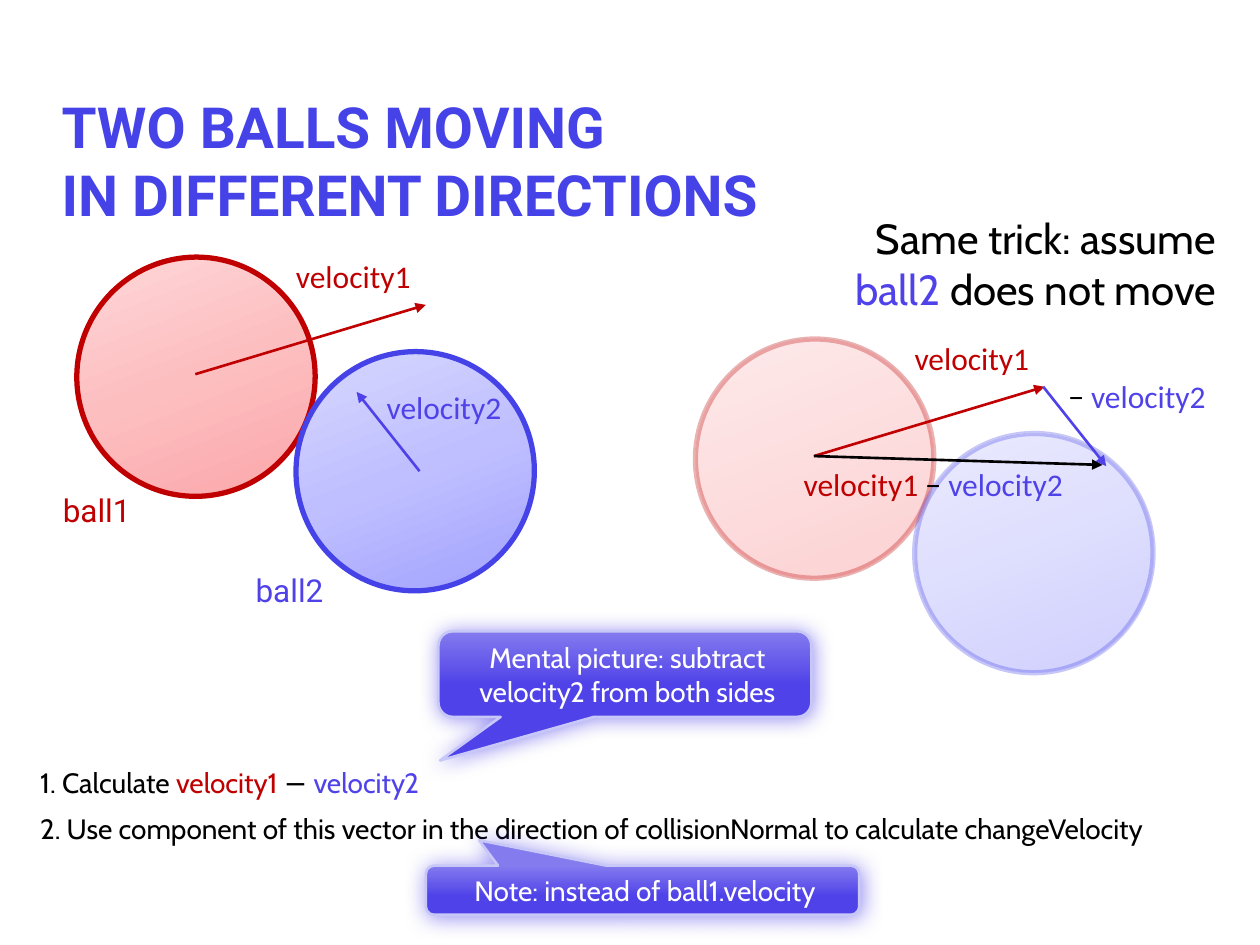
from dataclasses import dataclass

from lxml import etree
from pptx import Presentation
from pptx.dml.color import RGBColor
from pptx.enum import shapes, text
from pptx.oxml import ns, parse_xml
from pptx.util import Inches, Pt


@dataclass(frozen=True)
class Theme:
    red: str = "C00000"
    blue: str = "4F42E8"
    deep_blue: str = "4543E8"
    black: str = "000000"
    white: str = "FFFFFF"
    note_top: str = "847BEF"
    note_edge: str = "C7C7F8"
    red_tints: tuple = ("FB9EA1", "FDBEC0", "FEDFE0")
    blue_tints: tuple = ("9797FF", "BFBFFF", "DFDFFF")
    heading: str = "Roboto"
    body: str = "Cabin"
    label: str = "Calibri"
    title_size: float = 32.4
    lead_size: int = 24
    label_size: int = 18
    body_size: int = 16


THEME = Theme()
BALL_WIDTH, BALL_HEIGHT = 1.89, 1.9
BALL_TILT = 23.5


def rgb(color):
    return RGBColor.from_string(color)


def color_xml(color, opacity=100):
    return f'<a:srgbClr val="{color}"><a:alpha val="{opacity * 1000}"/></a:srgbClr>'


def set_gradient(shape, stops, angle, opacity=100):
    shape.fill.solid()
    stop_xml = "".join(
        f'<a:gs pos="{position * 1000}">{color_xml(color, opacity)}</a:gs>'
        for position, color in stops
    )
    gradient = parse_xml(
        f'<a:gradFill {ns.nsdecls("a")} rotWithShape="1"><a:gsLst>{stop_xml}</a:gsLst>'
        f'<a:lin ang="{angle * 60000}" scaled="0"/></a:gradFill>'
    )
    properties = shape._element.spPr
    properties.replace(properties.find(ns.qn("a:solidFill")), gradient)


def set_outline(shape, color, width):
    shape.line.color.rgb = rgb(color)
    shape.line.width = Pt(width)


def write_line(paragraph, runs, font, size, align=None, bold=None):
    for wording, color in runs:
        run = paragraph.add_run()
        run.text = wording
        if len(runs) > 1:
            run.font.color.rgb = rgb(color)
    paragraph.alignment = align
    paragraph.font.name = font
    paragraph.font.size = Pt(size)
    paragraph.font.bold = bold
    paragraph.font.color.rgb = rgb(runs[0][1])


def add_text(slide, place, lines, font, size, wrap=True, align=None, spacing=None):
    frame = slide.shapes.add_textbox(*map(Inches, place)).text_frame
    frame.word_wrap = wrap
    for index, runs in enumerate(lines):
        paragraph = frame.add_paragraph() if index else frame.paragraphs[0]
        write_line(paragraph, runs, font, size, align)
        paragraph.line_spacing = spacing
    return frame


def add_title(slide):
    frame = slide.shapes.add_textbox(*map(Inches, (0.39, 0.64, 9, 1.25))).text_frame
    frame.word_wrap = True
    frame.vertical_anchor = text.MSO_ANCHOR.MIDDLE
    heading = frame.paragraphs[0]
    heading.text = "TWO BALLS MOVING\vIN DIFFERENT DIRECTIONS"
    heading.font.name = THEME.heading
    heading.font.size = Pt(THEME.title_size)
    heading.font.bold = True
    heading.font.color.rgb = rgb(THEME.deep_blue)


def add_label(slide, left, top, width, runs, font=THEME.label):
    add_text(slide, (left, top, width, 0.4), [runs], font, THEME.label_size, wrap=False)


def add_step(slide, top, height, runs):
    add_text(slide, (0.22, top, 9.48, height), [runs], THEME.body, THEME.body_size, spacing=1.5)


def add_ball(slide, left, top, tints, edge, faded=False):
    ball = slide.shapes.add_shape(
        shapes.MSO_SHAPE.OVAL, *map(Inches, (left, top, BALL_WIDTH, BALL_HEIGHT))
    )
    ball.shadow.inherit = False
    ball.rotation = BALL_TILT
    set_gradient(ball, zip((0, 50, 100), tints), 225, 50 if faded else 100)
    set_outline(ball, edge, 3)
    if faded:
        edge_color = ball.line._ln.find(".//" + ns.qn("a:srgbClr"))
        etree.SubElement(edge_color, ns.qn("a:alpha"), val="30000")


def add_arrow(slide, start, end, color):
    arrow = slide.shapes.add_connector(
        shapes.MSO_CONNECTOR.STRAIGHT, *map(Inches, (*start, *end))
    )
    set_outline(arrow, color, 1.5)
    etree.SubElement(arrow.line._ln, ns.qn("a:tailEnd"), type="triangle")
    etree.SubElement(arrow._element.spPr, ns.qn("a:effectLst"))


def add_callout(slide, place, tip, wording):
    callout = slide.shapes.add_shape(
        shapes.MSO_SHAPE.ROUNDED_RECTANGULAR_CALLOUT, *map(Inches, place)
    )
    for index, value in enumerate((*tip, 0.167)):
        callout.adjustments[index] = value
    set_gradient(callout, [(0, THEME.note_top), (63, THEME.blue)], 90)
    set_outline(callout, THEME.note_edge, 1.5)
    callout._element.spPr.append(parse_xml(
        f'<a:effectLst {ns.nsdecls("a")}><a:outerShdw blurRad="{Pt(12)}" dist="{Pt(1)}" '
        f'dir="{45 * 60000}" rotWithShape="0">{color_xml(THEME.blue, 60)}'
        '</a:outerShdw></a:effectLst>'
    ))
    frame = callout.text_frame
    frame.word_wrap = True
    frame.vertical_anchor = text.MSO_ANCHOR.TOP
    frame.margin_left, frame.margin_right = Inches(0.16), Inches(0.12)
    frame.margin_top = frame.margin_bottom = Inches(0.04)
    write_line(frame.paragraphs[0], [(wording, THEME.white)], THEME.body,
               THEME.body_size, text.PP_ALIGN.CENTER)


def add_ball_pair(slide, left, top, faded=False):
    add_ball(slide, left, top, THEME.red_tints, THEME.red, faded)
    add_ball(slide, left + 1.74, top + 0.75, THEME.blue_tints, THEME.deep_blue, faded)


def main():
    deck = Presentation()
    deck.slide_width, deck.slide_height = Inches(10), Inches(7.5)
    slide = deck.slides.add_slide(deck.slide_layouts[6])

    velocity1 = ("velocity1", THEME.red)
    velocity2 = ("velocity2", THEME.blue)

    add_title(slide)
    add_text(
        slide, (6.52, 1.64, 3.23, 0.91),
        [[("Same trick: assume", THEME.black)],
         [("ball2", THEME.blue), (" does not move", THEME.black)]],
        THEME.body, THEME.lead_size, align=text.PP_ALIGN.RIGHT,
    )
    add_step(slide, 6.26, 0.6, [(
        "2. Use component of this vector in the direction of collisionNormal "
        "to calculate changeVelocity", THEME.black)])
    add_callout(slide, (3.48, 5.01, 2.96, 0.68), (-0.496, 1.009),
                "Mental picture: subtract velocity2 from both sides")
    add_callout(slide, (3.38, 6.87, 3.44, 0.39), (-0.377, -1.017),
                "Note: instead of ball1.velocity")

    add_ball_pair(slide, 0.61, 2.04)
    add_arrow(slide, (1.55, 2.97), (3.38, 2.42), THEME.red)
    add_label(slide, 2.25, 1.99, 1.12, [velocity1])
    add_arrow(slide, (3.33, 3.74), (2.83, 3.11), THEME.blue)
    add_label(slide, 2.97, 3.03, 1.12, [velocity2])
    add_label(slide, 0.4, 3.85, 0.78, [("ball1", THEME.red)], THEME.heading)
    add_label(slide, 1.93, 4.48, 0.78, [("ball2", THEME.blue)], THEME.heading)

    add_ball_pair(slide, 5.52, 2.69, faded=True)
    add_arrow(slide, (6.46, 3.62), (8.29, 3.07), THEME.red)
    add_label(slide, 7.16, 2.64, 1.12, [velocity1])
    add_arrow(slide, (8.28, 3.07), (8.78, 3.7), THEME.blue)
    add_label(slide, 8.38, 2.94, 1.31, [("− ", THEME.black), velocity2])
    add_arrow(slide, (6.46, 3.62), (8.75, 3.69), THEME.black)
    add_label(slide, 6.28, 3.64, 2.28, [velocity1, (" − ", THEME.black), velocity2])

    add_step(slide, 5.89, 0.52, [
        ("1. Calculate ", THEME.black), velocity1, (" − ", THEME.black), velocity2])

    deck.save("out.pptx")


if __name__ == "__main__":
    main()
